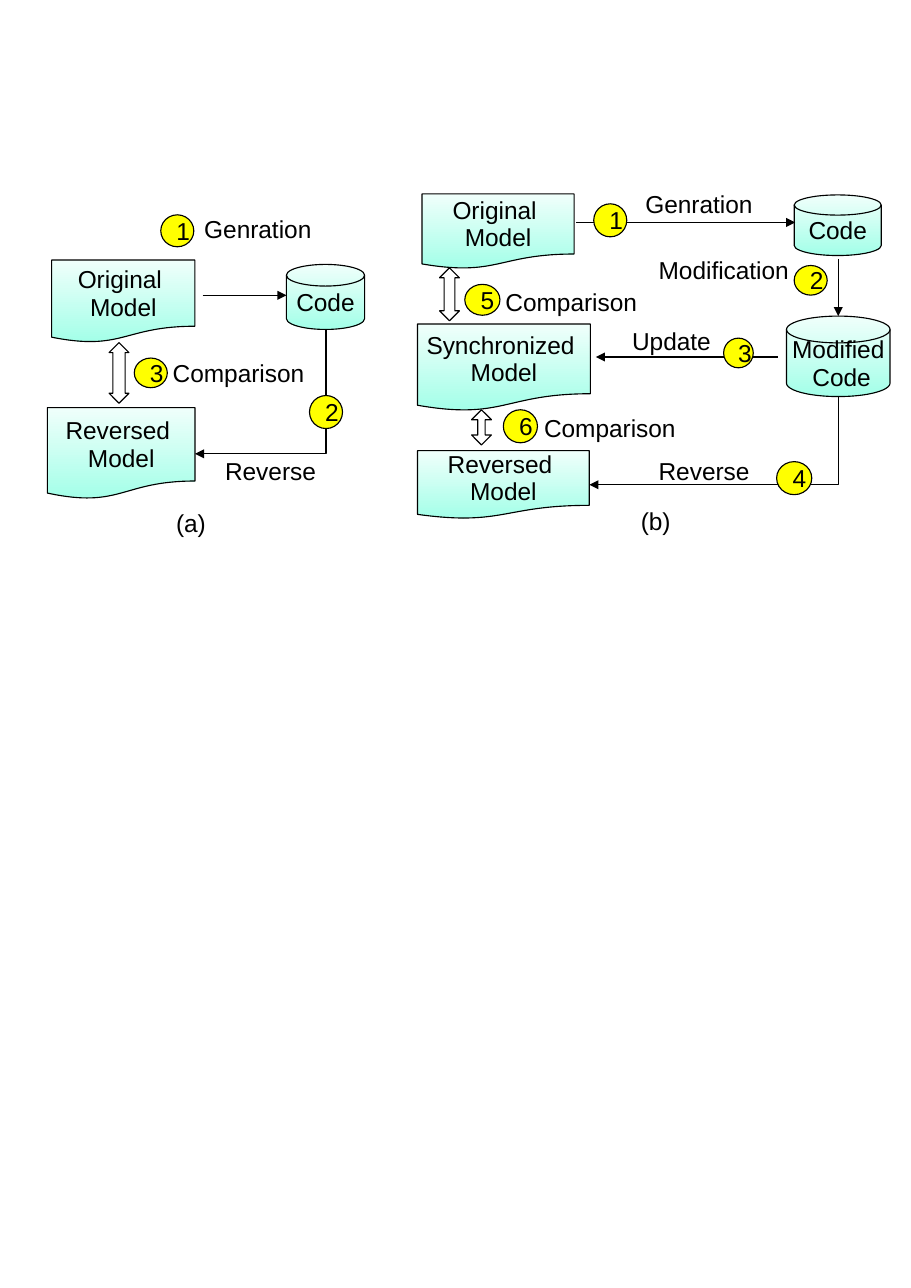
from lxml import etree
from pptx import Presentation
from pptx.dml.color import RGBColor
from pptx.enum.shapes import MSO_CONNECTOR, MSO_SHAPE
from pptx.enum.text import MSO_ANCHOR, PP_ALIGN
from pptx.oxml.ns import qn
from pptx.util import Pt

DOCUMENT = MSO_SHAPE.FLOWCHART_DOCUMENT
DISK = MSO_SHAPE.FLOWCHART_MAGNETIC_DISK
DOUBLE_ARROW = MSO_SHAPE.UP_DOWN_ARROW
OVAL = MSO_SHAPE.OVAL
STRAIGHT = MSO_CONNECTOR.STRAIGHT
ELBOW = MSO_CONNECTOR.ELBOW
TOP = MSO_ANCHOR.TOP
MIDDLE = MSO_ANCHOR.MIDDLE
LEFT = PP_ALIGN.LEFT
CENTER = PP_ALIGN.CENTER

BLACK = RGBColor(0x00, 0x00, 0x00)
WHITE = RGBColor(0xFF, 0xFF, 0xFF)
YELLOW = RGBColor(0xFF, 0xFF, 0x00)
PALE_MINT = RGBColor(0xF0, 0xFF, 0xFB)
MINT = RGBColor(0xA3, 0xFF, 0xE8)

LINE_WIDTH = Pt(0.75)

MODELS = [
    ("Original \vModel", 33.8, 169.9, 93.6, 54),
    ("Reversed \vModel", 31, 266.4, 96.5, 59.8),
    ("Original \vModel", 275.8, 126.7, 99.4, 49),
    ("Synchronized \vModel", 272.9, 211.7, 113, 56.9),
    ("Reversed \vModel", 272.9, 294.5, 112.3, 44.6),
]
CODE_STORES = [
    ("Code", 187.2, 172.8, 51.1, 42.5),
    ("Code", 519.1, 127.4, 56.9, 39.6),
    ("Modified\v Code", 514.1, 206.6, 67.7, 52.6),
]
FLOWS = [
    (132.5, 193, 187.2, 193),
    (376.6, 145.4, 519.8, 145.4),
    (508.3, 233.3, 389.5, 233.3),
    (547.9, 169.2, 547.9, 206.6),
]
REVERSE_FLOWS = [
    (213.1, 215.3, 127.4, 296.6),
    (547.9, 259.2, 385.2, 316.8),
]
COMPARISONS = [
    (71.3, 223.9, 39.6, 0.62),
    (287.3, 175, 34.6, 0.54),
    (308.2, 267.8, 23, 0.37),
]
LABELS = [
    ("Genration", 126.4, 136.8),
    ("Comparison", 105.8, 230.4),
    ("Reverse", 140, 294.5),
    ("Genration", 414.7, 120.2),
    ("Modification", 423.4, 163.4),
    ("Comparison", 323.3, 184.3),
    ("Update", 406.1, 209.5),
    ("Comparison", 348.5, 266.4),
    ("Reverse", 423.4, 294.5),
]
CAPTIONS = [("(a)", 108, 329), ("(b)", 411.8, 327.6)]
STEPS = [
    ("1", 105.1, 140.4, 21.6, 20.9),
    ("2", 202.3, 258.5, 21.6, 21.6),
    ("3", 87.8, 234, 21.6, 19.4),
    ("1", 388.1, 133.2, 21.6, 21.6),
    ("2", 519.1, 173.5, 21.6, 19.4),
    ("3", 473, 221, 19.4, 19.4),
    ("4", 507.6, 301.7, 23, 21.6),
    ("5", 303.8, 185.8, 23, 20.2),
    ("6", 329, 267.8, 22.3, 21.6),
]


def write_text(frame, text, *, align=CENTER, anchor=MIDDLE, wrap=False):
    frame.word_wrap = wrap
    frame.vertical_anchor = anchor
    frame.margin_left = frame.margin_right = Pt(7.2)
    frame.margin_top = Pt(5)
    frame.margin_bottom = Pt(3.6)
    paragraph = frame.paragraphs[0]
    paragraph.text = text
    paragraph.alignment = align
    paragraph.line_spacing = 0.93
    font = paragraph.font
    font.name = "Arial"
    font.size = Pt(16)
    font.color.rgb = BLACK
    for run in paragraph.runs:
        run.font.name = "Arial"
        run.font.size = Pt(16)
        run.font.color.rgb = BLACK


def outline(element):
    element.line.color.rgb = BLACK
    element.line.width = LINE_WIDTH


def add_figure(slide, preset, box, fill=None):
    figure = slide.shapes.add_shape(preset, *map(Pt, box))
    figure.shadow.inherit = False
    if fill is None:
        figure.fill.gradient()
        figure.fill.gradient_angle = 270
        for stop, color in zip(figure.fill.gradient_stops, (PALE_MINT, MINT)):
            stop.color.rgb = color
            stop.position = 0 if color == PALE_MINT else 1
    else:
        figure.fill.solid()
        figure.fill.fore_color.rgb = fill
    outline(figure)
    return figure


def add_node(slide, preset, text, *box):
    node = add_figure(slide, preset, box)
    write_text(node.text_frame, text)


def add_step(slide, number, *box):
    step = add_figure(slide, OVAL, box, YELLOW)
    write_text(step.text_frame, number, wrap=True)


def add_comparison(slide, left, top, height, head):
    arrow = add_figure(slide, DOUBLE_ARROW, (left, top, 13, height), WHITE)
    arrow.adjustments[0] = 0.5
    arrow.adjustments[1] = head


def add_label(slide, text, left, top, width=110):
    label = slide.shapes.add_textbox(Pt(left), Pt(top), Pt(width), Pt(27.4))
    write_text(label.text_frame, text, align=LEFT, anchor=TOP, wrap=True)


def add_flow(slide, *ends, kind=STRAIGHT):
    flow = slide.shapes.add_connector(kind, *map(Pt, ends))
    outline(flow)
    etree.SubElement(flow.line._get_or_add_ln(), qn("a:tailEnd"), type="triangle")
    etree.SubElement(flow._element.spPr, qn("a:effectLst"))
    return flow


def add_reverse_flow(slide, start_x, start_y, end_x, end_y):
    center_x, center_y = (start_x + end_x) / 2, (start_y + end_y) / 2
    half_drop, half_run = (end_y - start_y) / 2, (start_x - end_x) / 2
    flow = add_flow(slide, center_x - half_drop, center_y - half_run,
                    center_x + half_drop, center_y + half_run, kind=ELBOW)
    properties = flow._element.spPr
    properties.find(qn("a:xfrm")).set("rot", "5400000")
    properties.find(qn("a:prstGeom")).set("prst", "bentConnector2")


def main():
    presentation = Presentation()
    presentation.slide_width = Pt(595.44)
    presentation.slide_height = Pt(841.68)
    slide = presentation.slides.add_slide(presentation.slide_layouts[6])
    for model in MODELS:
        add_node(slide, DOCUMENT, *model)
    for store in CODE_STORES:
        add_node(slide, DISK, *store)
    for flow in FLOWS:
        add_flow(slide, *flow)
    for reverse_flow in REVERSE_FLOWS:
        add_reverse_flow(slide, *reverse_flow)
    for comparison in COMPARISONS:
        add_comparison(slide, *comparison)
    for label in LABELS:
        add_label(slide, *label)
    for caption in CAPTIONS:
        add_label(slide, *caption, width=36)
    for step in STEPS:
        add_step(slide, *step)
    presentation.save("out.pptx")


if __name__ == "__main__":
    main()
